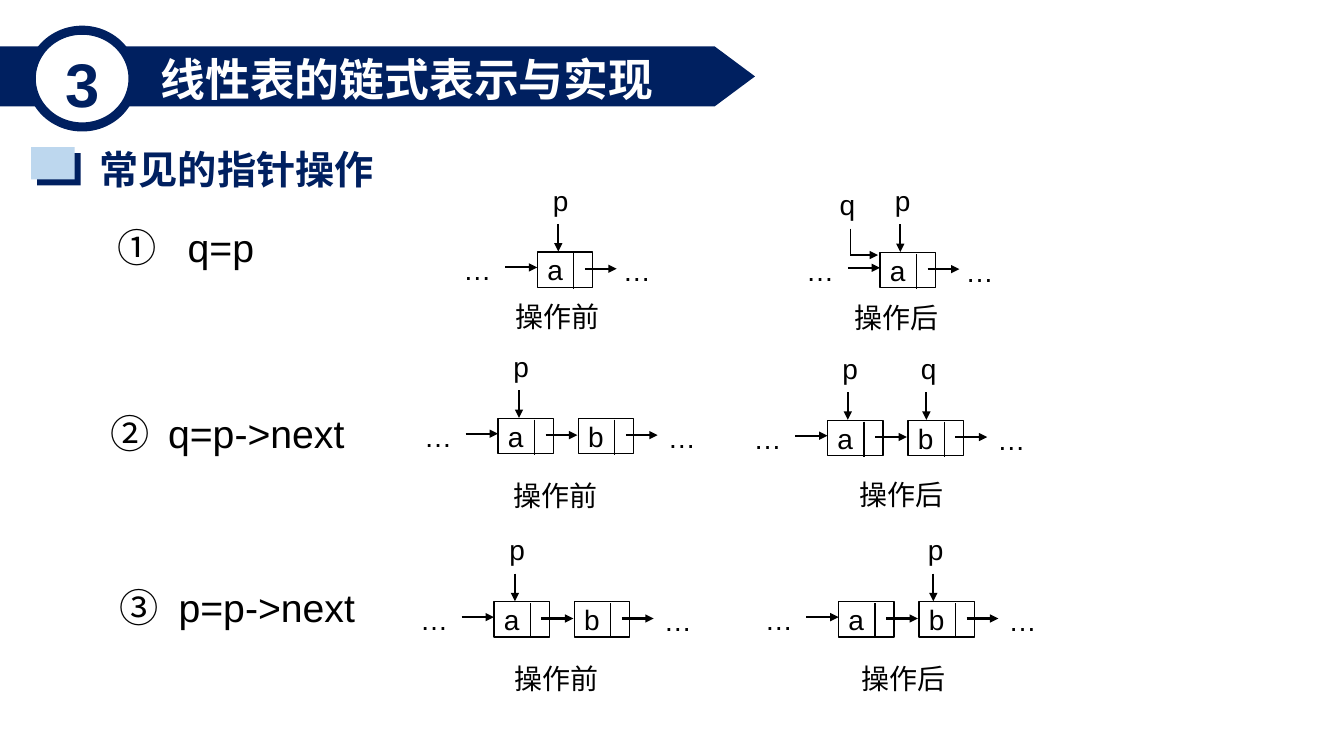
from lxml.etree import SubElement
from pptx import Presentation
from pptx.dml.color import RGBColor
from pptx.enum.shapes import MSO_CONNECTOR, MSO_SHAPE
from pptx.enum.text import MSO_ANCHOR, PP_ALIGN
from pptx.oxml.ns import qn
from pptx.util import Pt

NAVY, PALE_BLUE, WHITE, BLACK = "002060", "BDD7EE", "FFFFFF", "000000"
CJK = "Noto Sans CJK SC"
NODE_WIDTH, NODE_HEIGHT, NODE_STEP = 39.6, 25.2, 57.4


def color(value):
    return RGBColor.from_string(value)


def write(frame, text, size=20, font="Arial", east=None, ink=BLACK, bold=False,
          align=PP_ALIGN.LEFT, wrap=False):
    """Fill a text frame with one vertically centred run and return the run."""
    frame.word_wrap = wrap
    frame.vertical_anchor = MSO_ANCHOR.MIDDLE
    paragraph = frame.paragraphs[0]
    paragraph.alignment = align
    run = paragraph.add_run()
    run.text = text
    run.font.size = Pt(size)
    run.font.name = font
    run.font.bold = bold
    run.font.color.rgb = color(ink)
    if east:
        SubElement(run._r.get_or_add_rPr(), qn("a:ea"), typeface=east)
    return run


def add_text(slide, text, left, top, width, height, **style):
    box = slide.shapes.add_textbox(Pt(left), Pt(top), Pt(width), Pt(height))
    write(box.text_frame, text, **style)
    return box


def paint(shape, fill=None, line=None, weight=1):
    shape.shadow.inherit = False
    if fill:
        shape.fill.solid()
        shape.fill.fore_color.rgb = color(fill)
    else:
        shape.fill.background()
    if line:
        shape.line.color.rgb = color(line)
        shape.line.width = Pt(weight)
    else:
        shape.line.fill.background()


def add_shape(slide, kind, left, top, width, height, **look):
    shape = slide.shapes.add_shape(kind, Pt(left), Pt(top), Pt(width), Pt(height))
    paint(shape, **look)
    return shape


def add_line(slide, x1, y1, x2, y2, arrow=False):
    line = slide.shapes.add_connector(
        MSO_CONNECTOR.STRAIGHT, Pt(x1), Pt(y1), Pt(x2), Pt(y2))
    line.line.color.rgb = color(BLACK)
    line.line.width = Pt(1.5 if arrow else 1)
    if arrow:
        SubElement(line.line._get_or_add_ln(), qn("a:tailEnd"), type="triangle")
    SubElement(line._element.spPr, qn("a:effectLst"))


def add_header(slide):
    banner = slide.shapes.build_freeform(Pt(0), Pt(33.2))
    banner.add_line_segments(
        [(Pt(x), Pt(y)) for x, y in
         [(510.5, 33.2), (539.3, 54.6), (510.5, 76), (0, 76)]], close=True)
    paint(banner.convert_to_shape(), fill=NAVY)
    add_shape(slide, MSO_SHAPE.OVAL, 22.3, 21.6, 72.7, 69.1,
              fill=WHITE, line=NAVY, weight=6.5)
    add_text(slide, "3", 38.9, 28.7, 39.6, 60.5, size=44, ink=NAVY, bold=True,
             align=PP_ALIGN.CENTER)
    add_text(slide, "线性表的链式表示与实现", 105.8, 33, 370, 46, size=32, east=CJK,
             ink=WHITE, bold=True, align=PP_ALIGN.CENTER)


def add_section_heading(slide):
    for left, top, fill in [(26.6, 109.4, NAVY), (22.3, 105.1, PALE_BLUE)]:
        add_shape(slide, MSO_SHAPE.RECTANGLE, left, top, 31, 23, fill=fill)
    add_text(slide, "常见的指针操作", 64.1, 100, 212.4, 41, size=28,
             font="Times New Roman", east=CJK, ink=NAVY, bold=True)


def add_operation(slide, number, code, left, top, indent):
    """Write a circled number and, at a tab stop, its statement."""
    box = add_text(slide, number + "\t", left, top, 184, 36.7, size=28,
                   font=CJK, east=CJK, wrap=True)
    properties = box.text_frame.paragraphs[0]._p.get_or_add_pPr()
    stops = SubElement(properties, qn("a:tabLst"))
    SubElement(stops, qn("a:tab"), pos=str(Pt(indent)), algn="l")
    write(box.text_frame, code, size=28, wrap=True)


def add_node(slide, name, left, top):
    """Draw a list node with its data field and outgoing link."""
    node = add_shape(slide, MSO_SHAPE.RECTANGLE, left, top,
                     NODE_WIDTH, NODE_HEIGHT, line=BLACK)
    write(node.text_frame, name)
    add_line(slide, left + 26, top + 1, left + 26, top + 26.2)
    add_line(slide, left + 34, top + 12, left + 56.7, top + 12, arrow=True)


def add_pointer_name(slide, name, left, top):
    add_text(slide, name, left, top, 25.2, 25.2)


def add_list(slide, nodes, left, top, pointers):
    """Draw a list fragment; pointers maps names to arrow offsets from left."""
    add_text(slide, "…", left - 59.8, top, 31, 25.2)
    add_line(slide, left - 23, top + 11, left, top + 11, arrow=True)
    for index, name in enumerate(nodes):
        add_node(slide, name, left + index * NODE_STEP, top)
    tail = left + 54 + (len(nodes) - 1) * (NODE_STEP + 2.9)
    add_text(slide, "…", tail, top + 0.7, 31, 25.2)
    for name, offset in pointers.items():
        x = left + offset
        add_pointer_name(slide, name, x - 11, top - 49.8)
        add_line(slide, x, top - 20, x, top - 0.3, arrow=True)


def add_shared_pointer(slide):
    """Draw q joining p at the same node through a bent arrow."""
    add_pointer_name(slide, "q", 592.6, 133.2)
    add_line(slide, 607.7, 163.4, 607.7, 182.9)
    add_line(slide, 607.7, 182.2, 627.1, 182.2, arrow=True)


def main():
    deck = Presentation()
    deck.slide_width, deck.slide_height = Pt(960), Pt(540)
    slide = deck.slides.add_slide(deck.slide_layouts[6])
    add_header(slide)
    add_section_heading(slide)
    for operation in [("①", "q=p", 77, 157.7, 50),
                      ("②", "q=p->next", 72, 290.9, 41),
                      ("③", "p=p->next", 78.5, 415.4, 42)]:
        add_operation(slide, *operation)
    for fragment in [("a", 383.8, 180, {"p": 15}),
                     ("a", 628.6, 180.3, {"p": 14.5}),
                     ("ab", 355.7, 298.8, {"p": 15}),
                     ("ab", 591.1, 300.2, {"p": 14.5, "q": 70.6}),
                     ("ab", 352.8, 429.8, {"p": 15}),
                     ("ab", 599, 429.8, {"p": 67.7})]:
        add_list(slide, *fragment)
    add_shared_pointer(slide)
    for caption, places in {
            "操作前": [(361, 211), (360, 339), (360.5, 470)],
            "操作后": [(603.5, 211.7), (607, 338.4), (608.4, 470)]}.items():
        for left, top in places:
            add_text(slide, caption, left, top, 84.2, 29.5, east=CJK)
    deck.save("out.pptx")


if __name__ == "__main__":
    main()
